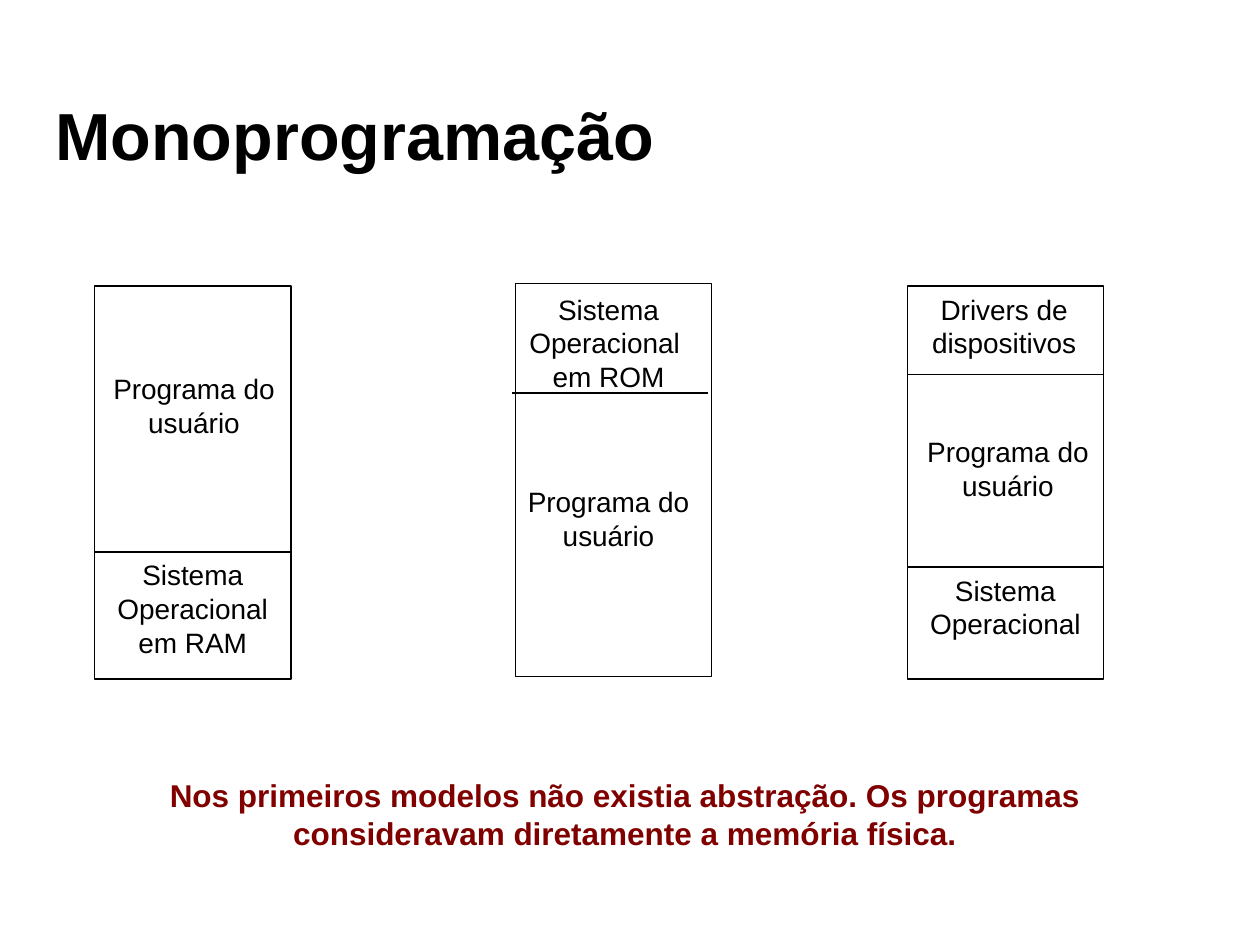
from lxml import etree
from pptx import Presentation
from pptx.dml.color import RGBColor
from pptx.enum.shapes import MSO_CONNECTOR, MSO_SHAPE
from pptx.enum.text import MSO_ANCHOR, PP_ALIGN
from pptx.oxml.ns import qn
from pptx.util import Inches, Pt

STRAIGHT = MSO_CONNECTOR.STRAIGHT
RECTANGLE = MSO_SHAPE.RECTANGLE
TOP, MIDDLE = MSO_ANCHOR.TOP, MSO_ANCHOR.MIDDLE
LEFT, CENTER = PP_ALIGN.LEFT, PP_ALIGN.CENTER

BLACK, WHITE, DARK_RED = "000000", "FFFFFF", "800000"
BAR_WIDTH, BAR_HEIGHT = 1.56, 3.12
USER_PROGRAM = ["Programa do usuário"]

# Each bar: left, top, dividers (dx, dy), labels (dx, dy, lines)
MEMORY_BARS = [
    (0.75, 2.27, [(0, 2.11)],
     [(0, 2.11, ["Sistema", "Operacional", "em RAM"]),
      (0.01, 0.63, USER_PROGRAM)]),
    (4.09, 2.25, [(-0.03, 0.87)],
     [(-0.04, 0.02, ["Sistema", "Operacional ", "em ROM"]),
      (-0.04, 1.55, USER_PROGRAM)]),
    (7.2, 2.27, [(0, 0.7), (0, 2.23)],
     [(0, 2.23, ["Sistema", "Operacional"]),
      (0.02, 1.13, USER_PROGRAM),
      (-0.01, 0, ["Drivers de dispositivos"])]),
]


def color(value):
    """Turn a hex string into a colour."""
    return RGBColor.from_string(value)


def add_text(page, box, lines, size, shade=BLACK, bold=False, align=CENTER, anchor=TOP):
    """Write one paragraph per line inside the box."""
    frame = page.shapes.add_textbox(*map(Inches, box)).text_frame
    frame.word_wrap = True
    frame.vertical_anchor = anchor
    frame.text = "\n".join(lines)
    for para in frame.paragraphs:
        para.alignment = align
        for span in para.runs:
            span.font.name = "Arial"
            span.font.size = Pt(size)
            span.font.bold = bold
            span.font.color.rgb = color(shade)


def style_line(line):
    """Give an outline or divider the thin black stroke."""
    line.color.rgb = color(BLACK)
    line.width = Pt(0.75)


def add_divider(page, left, top):
    """Draw a horizontal divider as wide as a memory bar."""
    divider = page.shapes.add_connector(
        STRAIGHT, *map(Inches, (left, top, left + BAR_WIDTH, top)))
    style_line(divider.line)
    etree.SubElement(divider.element.spPr, qn("a:effectLst"))


def add_memory_bar(page, left, top, dividers, labels):
    """Draw a memory bar with its dividers and section labels."""
    bar = page.shapes.add_shape(
        RECTANGLE, *map(Inches, (left, top, BAR_WIDTH, BAR_HEIGHT)))
    bar.shadow.inherit = False
    bar.fill.solid()
    bar.fill.fore_color.rgb = color(WHITE)
    style_line(bar.line)
    for dx, dy in dividers:
        add_divider(page, left + dx, top + dy)
    for dx, dy, lines in labels:
        height = 0.52 if len(lines) < 3 else 1.04
        add_text(page, (left + dx, top + dy, BAR_WIDTH, height), lines, 16)


def main():
    """Build and save the deck."""
    deck = Presentation()
    deck.slide_width, deck.slide_height = Inches(10), Inches(7.5)
    page = deck.slides.add_slide(deck.slide_layouts[6])
    add_text(page, (0.34, 0.65, 9.32, 0.83), ["Monoprogramação"], 38,
             bold=True, align=LEFT, anchor=MIDDLE)
    for bar in MEMORY_BARS:
        add_memory_bar(page, *bar)
    add_text(page, (0.43, 6.11, 9.06, 0.7),
             ["Nos primeiros modelos não existia abstração. "
              "Os programas consideravam diretamente a memória física."],
             18, shade=DARK_RED, bold=True)
    deck.save("out.pptx")


if __name__ == "__main__":
    main()
